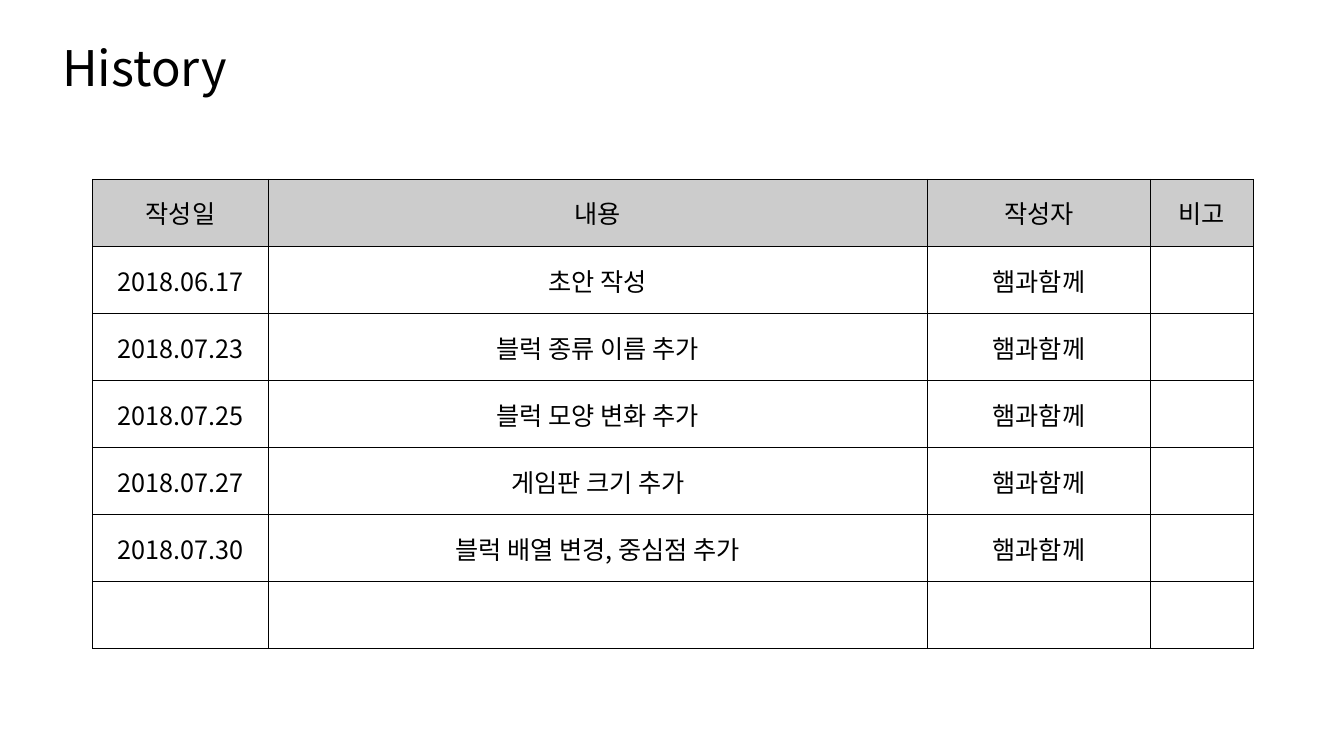
import pptx
import pptx.dml.color
import pptx.enum.text
import pptx.oxml
import pptx.oxml.ns
import pptx.util
from pptx.util import Cm

FONT = "Noto Sans CJK KR"
BLACK, GREY, WHITE = "000000", "CCCCCC", "FFFFFF"
AUTHOR = "햄과함께"
HEADERS = ["작성일", "내용", "작성자", "비고"]
CHANGES = [
    ("2018.06.17", "초안 작성"),
    ("2018.07.23", "블럭 종류 이름 추가"),
    ("2018.07.25", "블럭 모양 변화 추가"),
    ("2018.07.27", "게임판 크기 추가"),
    ("2018.07.30", "블럭 배열 변경, 중심점 추가"),
]
COLUMN_WIDTHS = [4.42, 16.61, 5.62, 2.6]
ROW_HEIGHT = 1.69


def rgb(color):
    return pptx.dml.color.RGBColor.from_string(color)


def write(tf, text, size=18, color=BLACK, align=None):
    p = tf.paragraphs[0]
    p.alignment = align
    r = p.add_run()
    r.text = text
    r.font.size = pptx.util.Pt(size)
    r.font.name = FONT
    r.font.color.rgb = rgb(color)
    # East Asian typeface for the Korean text
    ea = pptx.oxml.parse_xml(
        f'<a:ea {pptx.oxml.ns.nsdecls("a")} typeface="{FONT}"/>')
    r.font._element.append(ea)


def add_title(slide, text):
    tf = slide.shapes.add_textbox(Cm(1.32), Cm(0.81), Cm(29), Cm(1.73)).text_frame
    tf.word_wrap = True
    tf.vertical_anchor = pptx.enum.text.MSO_ANCHOR.MIDDLE
    tf.margin_top = tf.margin_bottom = 0
    write(tf, text, size=35)


def add_borders(cell, color=BLACK, width=0.75):
    tc_pr = cell._tc.get_or_add_tcPr()
    for i, side in enumerate(("lnL", "lnR", "lnT", "lnB")):
        tc_pr.insert(i, pptx.oxml.parse_xml(
            f'<a:{side} {pptx.oxml.ns.nsdecls("a")} w="{pptx.util.Pt(width)}">'
            f'<a:solidFill><a:srgbClr val="{color}"/></a:solidFill></a:{side}>'))


def format_cell(cell, text, fill):
    cell.fill.solid()
    cell.fill.fore_color.rgb = rgb(fill)
    cell.vertical_anchor = pptx.enum.text.MSO_ANCHOR.MIDDLE
    add_borders(cell)
    if text:
        write(cell.text_frame, text, align=pptx.enum.text.PP_ALIGN.CENTER)


def add_history_table(slide, rows):
    table = slide.shapes.add_table(
        len(rows), len(COLUMN_WIDTHS), Cm(2.34), Cm(4.52),
        Cm(sum(COLUMN_WIDTHS)), Cm(ROW_HEIGHT * len(rows))).table
    table.horz_banding = False
    table.first_row = False
    for column, width in zip(table.columns, COLUMN_WIDTHS):
        column.width = Cm(width)
    for i, row in enumerate(rows):
        table.rows[i].height = Cm(ROW_HEIGHT)
        for j, text in enumerate(row):
            format_cell(table.cell(i, j), text, WHITE if i else GREY)


def main():
    prs = pptx.Presentation()
    prs.slide_width, prs.slide_height = Cm(33.87), Cm(19.05)
    slide = prs.slides.add_slide(prs.slide_layouts[6])

    # Heading
    add_title(slide, "History")

    # Change log, with one empty row left at the end
    entries = [[date, change, AUTHOR, ""] for date, change in CHANGES]
    add_history_table(slide, [HEADERS, *entries, [""] * len(HEADERS)])

    prs.save("out.pptx")


if __name__ == "__main__":
    main()
